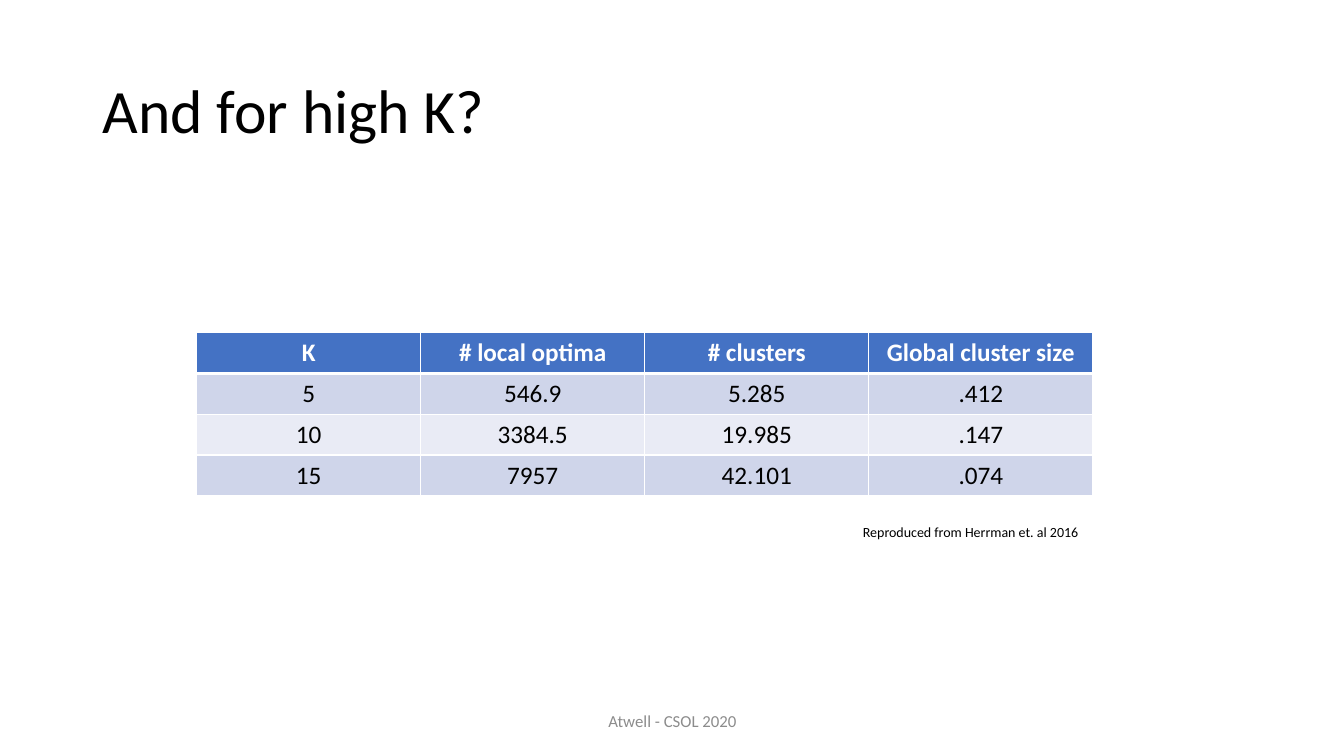
from lxml import etree
from pptx import Presentation
from pptx.dml.color import RGBColor
from pptx.enum.text import MSO_ANCHOR as Anchor, PP_ALIGN as Align
from pptx.oxml.ns import qn
from pptx.util import Inches, Pt

FONT = "Calibri"
COLORS = {
    "text": "000000",
    "footer": "8C8C8C",
    "white": "FFFFFF",
    "header": "4472C4",
    "odd_row": "CFD5EA",
    "even_row": "E9EBF5",
}
RESULTS = [
    ["K", "# local optima", "# clusters", "Global cluster size"],
    ["5", "546.9", "5.285", ".412"],
    ["10", "3384.5", "19.985", ".147"],
    ["15", "7957", "42.101", ".074"],
]


def write(frame, text, size=18, color="text", bold=False, align=Align.LEFT, spacing=1.0):
    para = frame.paragraphs[0]
    para.alignment = align
    para.line_spacing = spacing
    span = para.add_run()
    span.text = text
    span.font.name = FONT
    span.font.size = Pt(size)
    span.font.bold = bold
    span.font.color.rgb = RGBColor.from_string(COLORS[color])


def add_text(page, box, text, anchor=Anchor.MIDDLE, wrap=True, **style):
    frame = page.shapes.add_textbox(*map(Inches, box)).text_frame
    frame.word_wrap = wrap
    frame.vertical_anchor = anchor
    write(frame, text, **style)


def set_borders(cell, color, widths):
    # Border elements come before the fill, in the order of widths
    properties = cell._tc.get_or_add_tcPr()
    for index, (side, width) in enumerate(widths.items()):
        line = etree.Element(qn(f"a:ln{side}"), w=str(Pt(width)))
        fill = etree.SubElement(line, qn("a:solidFill"))
        etree.SubElement(fill, qn("a:srgbClr"), val=COLORS[color])
        properties.insert(index, line)


def add_results_table(page, box, rows):
    frame = page.shapes.add_table(len(rows), len(rows[0]), *map(Inches, box))
    for r, values in enumerate(rows):
        is_header = r == 0
        fill = "header" if is_header else ("even_row", "odd_row")[r % 2]
        widths = {"L": 1, "R": 1, "T": 3 if r == 1 else 1, "B": 3 if is_header else 1}
        for c, value in enumerate(values):
            cell = frame.table.cell(r, c)
            cell.fill.solid()
            cell.fill.fore_color.rgb = RGBColor.from_string(COLORS[fill])
            set_borders(cell, "white", widths)
            write(cell.text_frame, value, bold=is_header, align=Align.CENTER,
                  color="white" if is_header else "text")


def add_results_region(page, box):
    left, top, width, height = box
    add_results_table(page, box, RESULTS)
    # Source note, flush with the table's right edge
    note_width = 2.38
    note_box = (left + width - note_width, top + height + 0.22, note_width, 0.27)
    add_text(page, note_box, "Reproduced from Herrman et. al 2016",
             size=10, anchor=Anchor.TOP, wrap=False)


def main():
    deck = Presentation()
    deck.slide_width, deck.slide_height = Inches(13.33), Inches(7.5)
    page = deck.slides.add_slide(deck.slide_layouts[6])

    # Title
    add_text(page, (0.92, 0.4, 11.5, 1.45), "And for high K?", size=44, spacing=0.9)
    # Footer
    add_text(page, (4.42, 6.95, 4.5, 0.4), "Atwell - CSOL 2020",
             size=12, color="footer", align=Align.CENTER)
    # Results table and its source
    add_results_region(page, (1.95, 3.3, 8.89, 1.62))

    deck.save("out.pptx")


if __name__ == "__main__":
    main()
